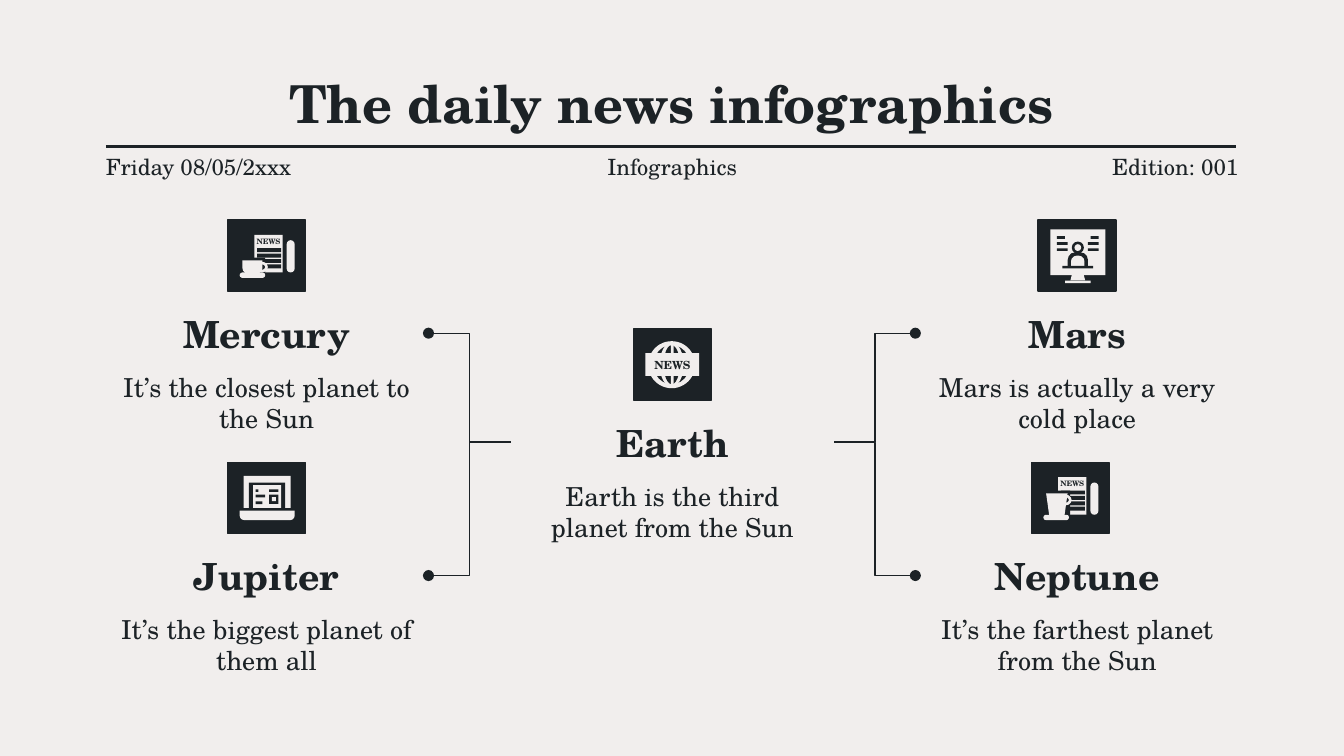
from dataclasses import dataclass

from lxml import etree
from pptx import Presentation
from pptx import util as u
from pptx.dml.color import RGBColor
from pptx.enum import shapes, text
from pptx.oxml import ns


@dataclass(frozen=True)
class Theme:
    ink: RGBColor = RGBColor.from_string("1C2226")
    paper: RGBColor = RGBColor.from_string("F1EEED")
    font: str = "TeX Gyre Schola"
    title: int = 28
    heading: int = 20
    body: int = 14
    small: int = 12
    rule: float = 1.5
    hairline: float = 0.75


LEFT, CENTER, RIGHT = text.PP_ALIGN.LEFT, text.PP_ALIGN.CENTER, text.PP_ALIGN.RIGHT
RECT, OVAL = shapes.MSO_SHAPE.RECTANGLE, shapes.MSO_SHAPE.OVAL
ROUND, ARCH = shapes.MSO_SHAPE.ROUNDED_RECTANGLE, shapes.MSO_SHAPE.ROUND_2_SAME_RECTANGLE
RING, TRAPEZOID = shapes.MSO_SHAPE.DONUT, shapes.MSO_SHAPE.TRAPEZOID
GRID = 0.0254
INSET = 0.25
COLUMN_WIDTH = 6.12
HEADING_HEIGHT = 1.1


class Sheet:
    def __init__(self, page, theme):
        self.page, self.theme = page, theme
        self.tile = (0, 0)
        page.background.fill.solid()
        page.background.fill.fore_color.rgb = theme.paper

    def label(self, words, left, top, width, height, size, bold=False,
              align=CENTER, side=INSET, color=None):
        box = self.page.shapes.add_textbox(*map(u.Cm, (left, top, width, height)))
        frame = box.text_frame
        frame.word_wrap = True
        frame.vertical_anchor = text.MSO_ANCHOR.MIDDLE
        frame.margin_left = frame.margin_right = u.Cm(side)
        frame.margin_top = frame.margin_bottom = u.Cm(side)
        para = frame.paragraphs[0]
        para.text, para.alignment = words, align
        para.font.name, para.font.size, para.font.bold = self.theme.font, u.Pt(size), bold
        para.font.color.rgb = color or self.theme.ink

    def line(self, kind, start, end, weight, dot=False):
        link = self.page.shapes.add_connector(kind, *map(u.Cm, (*start, *end)))
        link.line.color.rgb = self.theme.ink
        link.line.width = u.Pt(weight)
        if dot:
            etree.SubElement(link.line._get_or_add_ln(), ns.qn("a:tailEnd"), type="oval")
        etree.SubElement(link._element.spPr, ns.qn("a:effectLst"))

    def place(self, left, top, width, height):
        x, y = self.tile
        return x + left * GRID, y + top * GRID, width * GRID, height * GRID

    def piece(self, kind, color, *area):
        figure = self.page.shapes.add_shape(kind, *map(u.Cm, self.place(*area)))
        figure.shadow.inherit = False
        figure.fill.solid()
        figure.fill.fore_color.rgb = color
        figure.line.fill.background()
        return figure

    def light(self, kind, *area):
        return self.piece(kind, self.theme.paper, *area)

    def dark(self, kind, *area):
        return self.piece(kind, self.theme.ink, *area)

    def news(self, left, top, width, height, size):
        self.label("NEWS", *self.place(left, top, width, height), size, bold=True, side=0)

    def newspaper(self):
        self.light(ROUND, 44, 15, 6, 24).adjustments[0] = 0.5
        self.light(RECT, 20, 11, 21, 28)
        self.news(20, 12, 21, 8, 4)
        for row in range(4):
            self.dark(RECT, 22, 21 + 4 * row, 18, 3)

    def drink(self, kind, top, width):
        height = 40 - top
        self.dark(RECT, 10, top - 2, width + 3, height + 3)
        handle = self.light(RING, 21, top + 1, 9, 8)
        handle.adjustments[0] = 0.25
        body = self.light(kind, 11, top, width, height)
        body.rotation = 180
        body.adjustments[0] = 0.15 if kind == TRAPEZOID else 0.45
        self.light(ROUND, 9, 39, 19, 4).adjustments[0] = 0.5

    def cup(self):
        self.newspaper()
        self.drink(ARCH, 30, 15)

    def mug(self):
        self.newspaper()
        self.drink(TRAPEZOID, 23, 16)

    def globe(self):
        self.light(OVAL, 11, 9, 35, 35)
        for shade, width in ((self.dark, 27), (self.light, 18), (self.dark, 12)):
            self.dark(OVAL, 28.5 - width / 2, 12, width, 29) if shade == self.dark else \
                self.light(OVAL, 28.5 - width / 2, 10, width, 33)
        self.light(RECT, 28, 10, 2, 33)
        self.light(RECT, 9, 18, 40, 17)
        self.news(9, 18, 40, 17, 6)

    def monitor(self):
        self.light(RECT, 9, 7, 41, 34)
        self.light(TRAPEZOID, 24, 41, 11, 4)
        self.light(RECT, 20, 45, 19, 2)
        for row, width in enumerate((6, 8, 8)):
            for left in (14, 45 - width):
                self.dark(RECT, left, 12 + 4.5 * row, width, 2)
        for shade, edge in ((self.dark, 0), (self.light, 2.5)):
            shade(ARCH, 22 + edge, 24 + edge, 15 - 2 * edge, 11 - edge).adjustments[0] = 0.5
        for shade, edge in ((self.dark, 0), (self.light, 2)):
            shade(OVAL, 25 + edge, 16 + edge, 9 - 2 * edge, 9 - 2 * edge)
        self.dark(RECT, 18, 34, 23, 2)

    def laptop(self):
        self.light(RECT, 12, 10, 35, 24)
        self.dark(RECT, 16, 15, 27, 19)
        self.light(RECT, 19, 17, 21, 17)
        for left, top, width in ((21, 20, 2), (31, 20, 7), (21, 24, 7), (21, 29, 5)):
            self.dark(RECT, left, top, width, 2)
        self.dark(RECT, 31, 24, 7, 7)
        self.light(RECT, 33, 26, 3, 3)
        base = self.light(ARCH, 9, 36, 41, 7)
        base.rotation = 180
        base.adjustments[0] = 0.5

    def card(self, heading, body, icon, left, top, icon_shift=0):
        self.label(heading, left, top, COLUMN_WIDTH, HEADING_HEIGHT, self.theme.heading, bold=True)
        self.label(body, left, top + 1.18, COLUMN_WIDTH, 1.35, self.theme.body)
        self.tile = (left + 2.32 + icon_shift, top - 1.59)
        square = self.dark(RECT, 0, 0, 58, 53)
        square.line.color.rgb = self.theme.ink
        square.line.width = u.Pt(self.theme.hairline)
        icon()


def main():
    deck = Presentation()
    deck.slide_width, deck.slide_height = u.Cm(25.4), u.Cm(14.29)
    theme = Theme()
    sheet = Sheet(deck.slides.add_slide(deck.slide_layouts[6]), theme)

    sheet.line(shapes.MSO_CONNECTOR.STRAIGHT, (2, 2.77), (23.36, 2.77), theme.rule)
    sheet.label("The daily news infographics", 2.03, 1.35, 21.31, 1.17, theme.title, bold=True)

    first, middle, last = 1.98, 9.65, 17.3
    upper, center, lower = 5.75, 7.81, 10.33
    sheet.card("Mercury", "It’s the closest planet to the Sun", sheet.cup, first, upper)
    sheet.card("Neptune", "It’s the farthest planet from the Sun", sheet.mug, last, lower, -0.13)
    sheet.card("Earth", "Earth is the third planet from the Sun", sheet.globe, middle, center)
    sheet.card("Mars", "Mars is actually a very cold place", sheet.monitor, last, upper)
    sheet.card("Jupiter", "It’s the biggest planet of them all", sheet.laptop, first, lower)

    half = HEADING_HEIGHT / 2
    for start, end in ((middle, first + COLUMN_WIDTH), (middle + COLUMN_WIDTH, last)):
        for top in (upper, lower):
            sheet.line(shapes.MSO_CONNECTOR.ELBOW, (start, center + half), (end, top + half),
                       theme.hairline, dot=True)

    for words, left, align, side in (("Friday 08/05/2xxx", 2, LEFT, 0),
                                     ("Infographics", 10.56, CENTER, INSET),
                                     ("Edition: 001", 19.12, RIGHT, 0)):
        sheet.label(words, left, 2.9, 4.29, 0.5, theme.small, align=align, side=side)

    deck.save("out.pptx")


if __name__ == "__main__":
    main()
